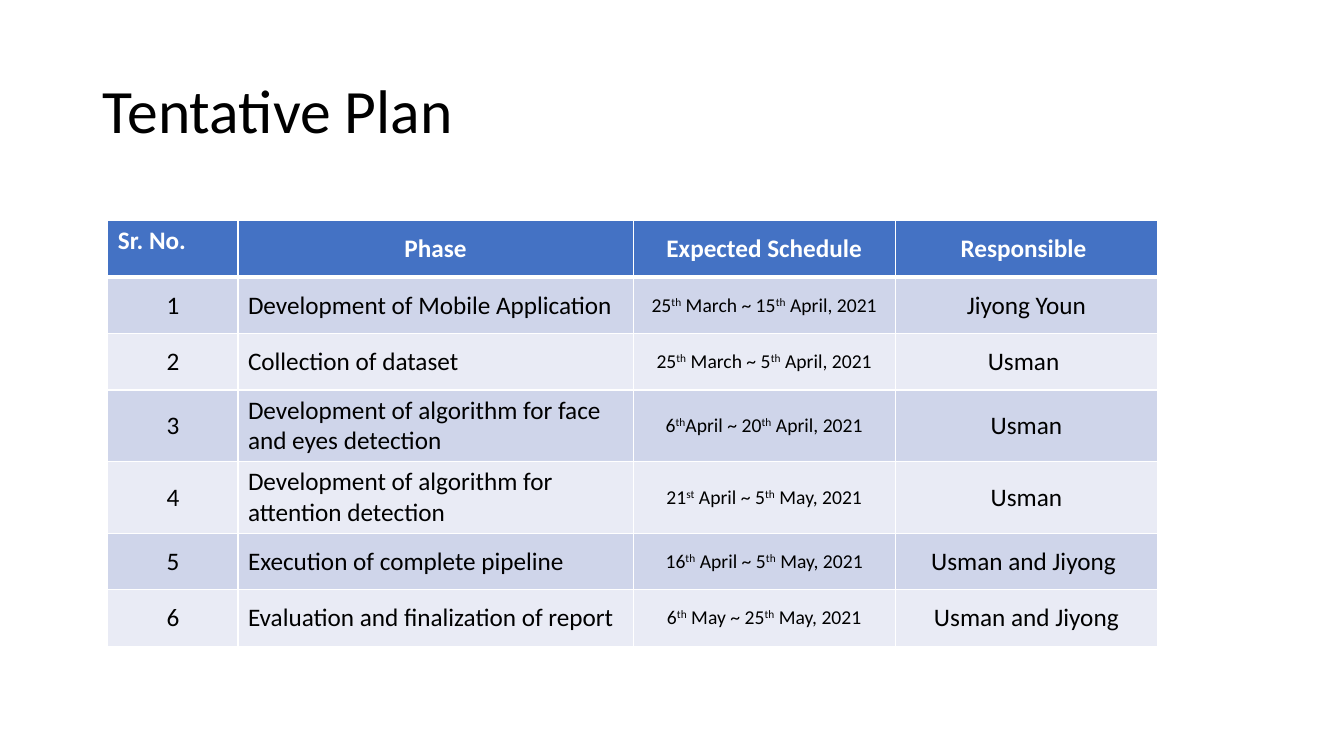
"""Build the tentative plan slide: a title above a schedule table."""
from dataclasses import dataclass

from lxml import etree
from pptx import Presentation
from pptx import util as u
from pptx.dml.color import RGBColor
from pptx.enum import text
from pptx.oxml.ns import qn

TITLE = "Tentative Plan"
HEADINGS = ("Sr. No.", "Phase", "Expected Schedule", "Responsible ")
PHASES = (
    ("Development of Mobile Application", "25^th^ March ~ 15^th^ April, 2021", "Jiyong Youn"),
    ("Collection of dataset", "25^th^ March ~ 5^th^ April, 2021", "Usman "),
    ("Development of algorithm for face and eyes detection", "6^th^April ~ 20^th^ April, 2021", "Usman"),
    ("Development of algorithm for attention detection", "21^st^ April ~ 5^th^ May, 2021", "Usman"),
    ("Execution of complete pipeline", "16^th^ April ~ 5^th^ May, 2021", "Usman and Jiyong "),
    ("Evaluation and finalization of report", "6^th^ May ~ 25^th^ May, 2021", "Usman and Jiyong"),
)

PX = u.Inches(0.01)
SLIDE_SIZE = (1333, 750)
TITLE_BOX = (92, 40, 1150, 145)
TABLE_ORIGIN = (107, 219)
COLUMN_WIDTHS = (129, 392, 260, 260)
ROW_HEIGHT = 56
PHASE_COLUMN, SCHEDULE_COLUMN = 1, 2


@dataclass(frozen=True)
class Theme:
    """Colours, font and type sizes."""
    font: str = "Calibri"
    ink: str = "000000"
    paper: str = "FFFFFF"
    header: str = "4472C4"
    bands: tuple = ("E9EBF5", "CFD5EA")
    title_size: int = 44
    body_size: int = 18
    schedule_size: int = 14
    rule: int = 1
    header_rule: int = 3


THEME = Theme()


def px(*lengths):
    """Turn px lengths into EMU."""
    return [length * PX for length in lengths]


def style(paragraph, size, color, bold=False):
    """Set the font of a whole paragraph."""
    font = paragraph.font
    font.name, font.size, font.bold = THEME.font, u.Pt(size), bold
    font.color.rgb = RGBColor.from_string(color)


def write(paragraph, marked_text):
    """Add runs, raising the parts between carets."""
    for index, part in enumerate(marked_text.split("^")):
        run = paragraph.add_run()
        run.text = part
        if index % 2:
            run._r.get_or_add_rPr().set("baseline", "30000")


def add_borders(cell, row):
    """Draw the cell's rules, heavier under the header."""
    properties = cell._tc.get_or_add_tcPr()
    heavy_side = {0: "lnB", 1: "lnT"}.get(row)
    for side in ("lnL", "lnR", "lnT", "lnB"):
        width = THEME.header_rule if side == heavy_side else THEME.rule
        line = etree.SubElement(properties, qn(f"a:{side}"), w=str(u.Pt(width)))
        fill = etree.SubElement(line, qn("a:solidFill"))
        etree.SubElement(fill, qn("a:srgbClr"), val=THEME.paper)


def fill_cell(cell, row, column, content):
    """Format one table cell and write its content."""
    is_header = row == 0
    add_borders(cell, row)
    cell.fill.solid()
    cell.fill.fore_color.rgb = RGBColor.from_string(THEME.header if is_header else THEME.bands[row % 2])
    is_corner = is_header and column == 0
    cell.vertical_anchor = text.MSO_ANCHOR.TOP if is_corner else text.MSO_ANCHOR.MIDDLE
    is_left = is_corner or (not is_header and column == PHASE_COLUMN)
    paragraph = cell.text_frame.paragraphs[0]
    paragraph.alignment = text.PP_ALIGN.LEFT if is_left else text.PP_ALIGN.CENTER
    is_schedule = not is_header and column == SCHEDULE_COLUMN
    size = THEME.schedule_size if is_schedule else THEME.body_size
    style(paragraph, size, THEME.paper if is_header else THEME.ink, is_header)
    write(paragraph, content)


def add_title(slide):
    """Place and format the title placeholder."""
    title = slide.shapes.title
    title.left, title.top, title.width, title.height = px(*TITLE_BOX)
    title.text_frame.vertical_anchor = text.MSO_ANCHOR.MIDDLE
    paragraph = title.text_frame.paragraphs[0]
    paragraph.alignment = text.PP_ALIGN.LEFT
    paragraph.line_spacing = 0.9
    style(paragraph, THEME.title_size, THEME.ink)
    write(paragraph, TITLE)


def add_plan(slide):
    """Add the table of phases."""
    numbered = [(str(number), *phase) for number, phase in enumerate(PHASES, 1)]
    rows = [HEADINGS, *numbered]
    size = (sum(COLUMN_WIDTHS), ROW_HEIGHT * len(rows))
    table = slide.shapes.add_table(len(rows), len(HEADINGS), *px(*TABLE_ORIGIN, *size)).table
    for column, width in zip(table.columns, px(*COLUMN_WIDTHS)):
        column.width = width
    for row, contents in enumerate(rows):
        for column, content in enumerate(contents):
            fill_cell(table.cell(row, column), row, column, content)


def main():
    """Build and save the presentation."""
    presentation = Presentation()
    presentation.slide_width, presentation.slide_height = px(*SLIDE_SIZE)
    slide = presentation.slides.add_slide(presentation.slide_layouts.get_by_name("Title Only"))
    add_title(slide)
    add_plan(slide)
    presentation.save("out.pptx")


if __name__ == "__main__":
    main()
